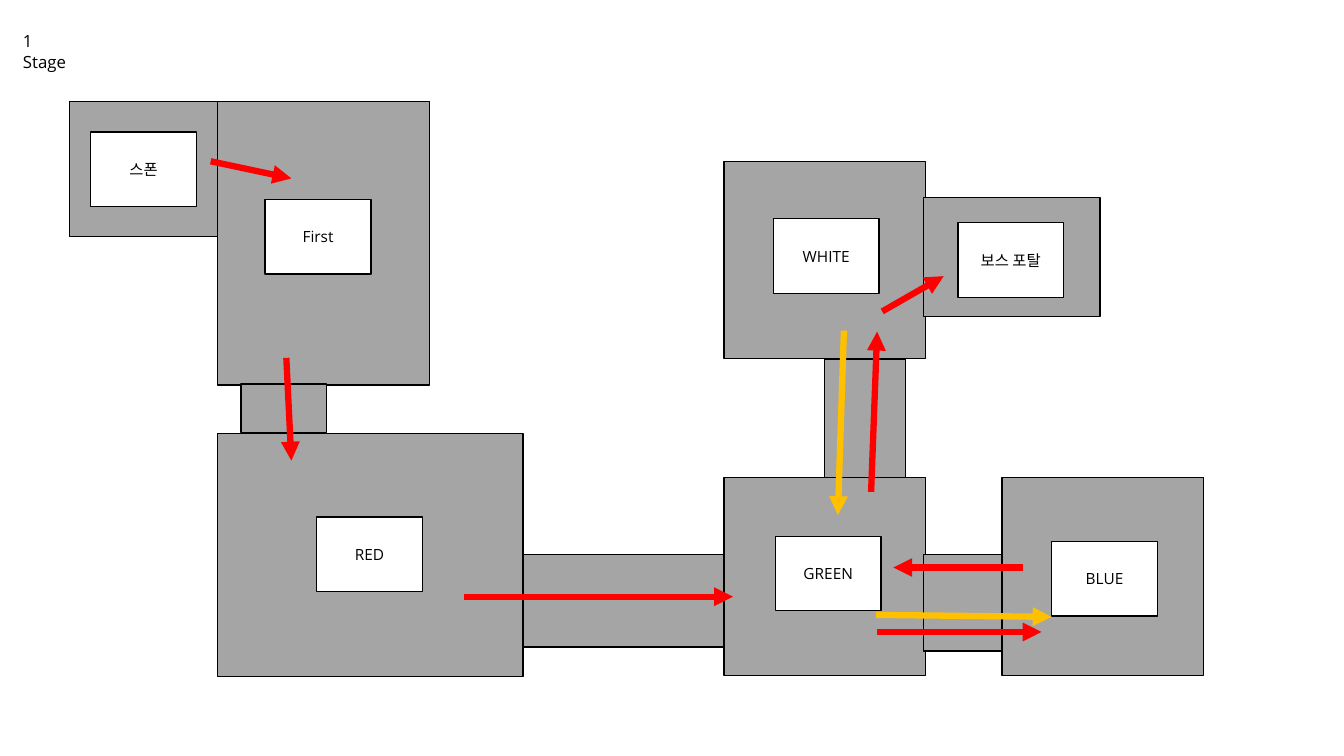
from pptx import Presentation
from pptx.dml.color import RGBColor
from pptx.enum.shapes import MSO_CONNECTOR as Conn, MSO_SHAPE as Shape
from pptx.enum.text import MSO_ANCHOR as Anchor, MSO_AUTO_SIZE as Fit, PP_ALIGN as Align
from pptx.oxml.ns import qn
from pptx.util import Inches, Pt
from lxml import etree

# Content, in inches
TITLE = "1 Stage"
FONT = "Open Sans"
GRAY, WHITE, BLACK, RED, AMBER = "A5A5A5", "FFFFFF", "000000", "FF0000", "FFC000"
HALL = 2, 1.96          # size shared by the three colour halls
SIGN = 1.05, 0.74       # size of every name sign

# Rooms and corridors, back to front: left, top, width, height
rooms = [
    (0.69, 1.01, 1.51, 1.34),   # spawn
    (2.16, 1.01, 2.1, 2.81),    # first
    (2.16, 4.3, 3.03, 2.41),    # red
    (5.19, 5.5, 2, 0.92),       # red to green
    (2.39, 3.81, 0.85, 0.48),   # first to red
    (7.18, 4.74, *HALL),        # green
    (8.18, 3.56, 0.8, 1.18),    # green to white
    (7.18, 1.6, *HALL),         # white
    (9.16, 5.5, 0.8, 0.96),     # green to blue
    (9.94, 4.74, *HALL),        # blue
    (9.16, 1.96, 1.75, 1.18),   # boss portal
]

# Name signs: text, left, top
signs = [
    ("스폰", 0.9, 1.31),
    ("First", 2.63, 1.98),
    ("RED", 3.14, 5.13),
    ("GREEN", 7.69, 5.32),
    ("WHITE", 7.67, 2.17),
    ("BLUE", 10.43, 5.37),
    ("보스 포탈", 9.5, 2.21),
]

# Routes by colour: from x, y to x, y
routes = {
    RED: [
        (2.09, 1.6, 2.89, 1.77),
        (2.84, 3.55, 2.89, 4.57),
        (4.6, 5.92, 7.27, 5.92),
        (8.7, 6.27, 10.33, 6.27),
        (10.15, 5.63, 8.86, 5.63),
        (8.64, 4.88, 8.7, 3.29),
        (8.75, 3.09, 9.36, 2.74),
    ],
    AMBER: [
        (8.37, 3.28, 8.31, 5.11),
        (8.69, 6.1, 10.43, 6.12),
    ],
}

prs = Presentation()
prs.slide_width, prs.slide_height = Inches(13.33), Inches(7.5)
s = prs.slides.add_slide(prs.slide_layouts[6])


def rgb(color):
    return RGBColor.from_string(color)


def add_box(box, fill):
    sp = s.shapes.add_shape(Shape.RECTANGLE, *map(Inches, box))
    sp.shadow.inherit = False
    sp.fill.solid()
    sp.fill.fore_color.rgb = rgb(fill)
    sp.line.color.rgb = rgb(BLACK)
    sp.line.width = Pt(1)
    return sp


def write(sp, text, size, align):
    p = sp.text_frame.paragraphs[0]
    p.text = text
    p.alignment = align
    font = p.runs[0].font
    font.name, font.size = FONT, Pt(size)
    font.color.rgb = rgb(BLACK)


def add_arrow(ends, color):
    line = s.shapes.add_connector(Conn.STRAIGHT, *map(Inches, ends))
    line.line.color.rgb = rgb(color)
    line.line.width = Pt(4.5)
    props = line.line._get_or_add_ln()
    etree.SubElement(props, qn("a:tailEnd"), type="triangle")
    etree.SubElement(line._element.spPr, qn("a:effectLst"))


# Map
for room in rooms:
    add_box(room, GRAY)

for name, left, top in signs:
    sign = add_box((left, top, *SIGN), WHITE)
    sign.text_frame.vertical_anchor = Anchor.MIDDLE
    write(sign, name, 11, Align.CENTER)

# Title, narrow enough to break after the number
title = s.shapes.add_textbox(*map(Inches, (0.13, 0.26, 0.74, 0.3)))
title.text_frame.word_wrap = True
title.text_frame.auto_size = Fit.SHAPE_TO_FIT_TEXT
write(title, TITLE, 12, Align.LEFT)

# Routes
for color, arrows in routes.items():
    for ends in arrows:
        add_arrow(ends, color)

prs.save("out.pptx")
